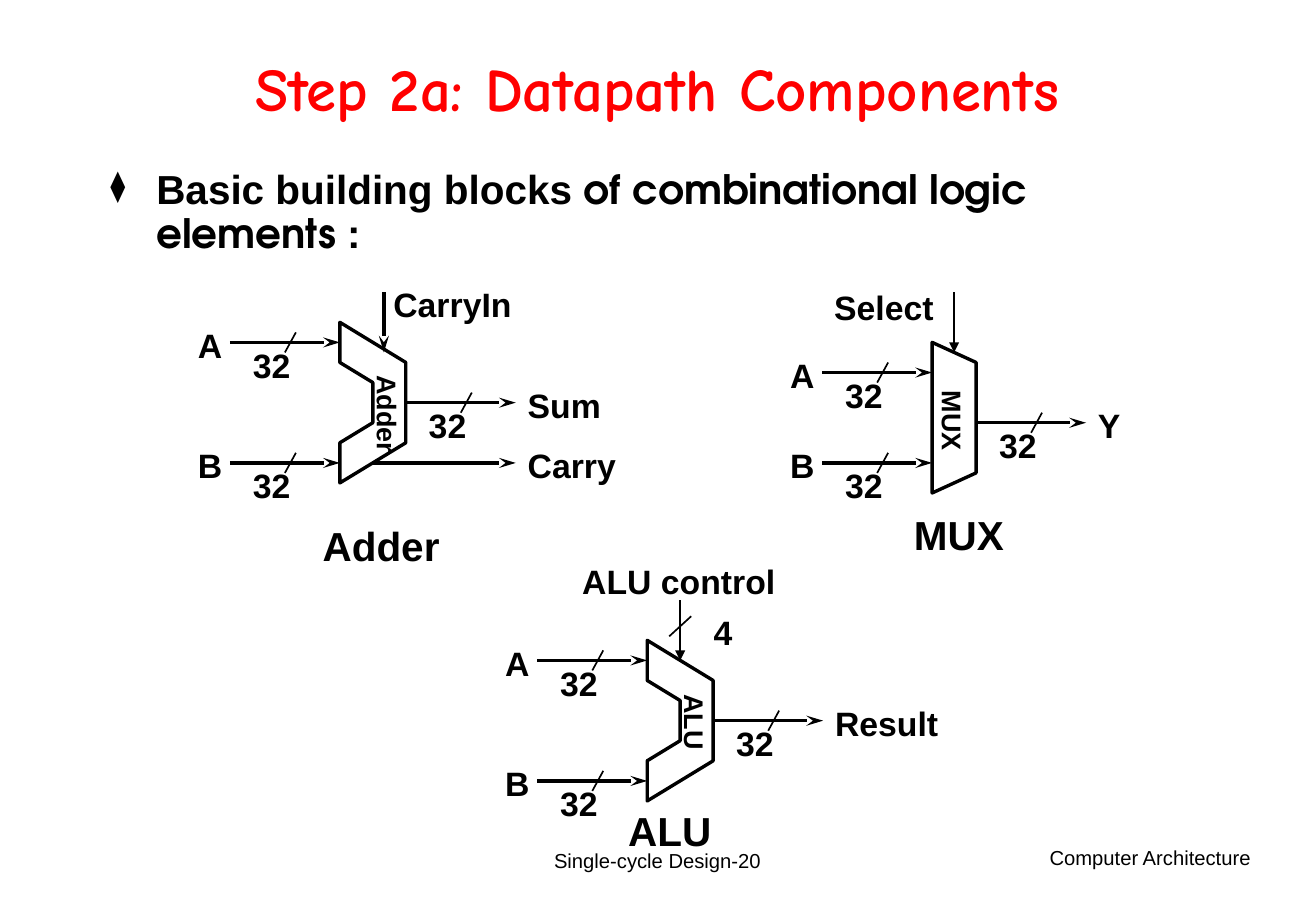
from lxml.etree import SubElement as Sub
from pptx import Presentation
from pptx.dml.color import RGBColor
from pptx.enum.shapes import MSO_CONNECTOR as Conn
from pptx.enum.text import MSO_ANCHOR as Anchor, PP_ALIGN as Align
from pptx.oxml.ns import qn
from pptx.util import Cm, Pt

BLACK = RGBColor(0, 0, 0)
RED = RGBColor(255, 0, 0)
U, V = 0.23, 0.42
TAG = 2.6

TITLE = "Step 2a: Datapath Components"
BULLET = [("Basic building blocks", "Arial"),
          (" of combinational logic elements", "TeX Gyre Adventor"),
          (" :", "Arial")]
FOOT = [("Single-cycle Design-20", 9.4, 17.35, 8.71, Align.CENTER, Anchor.MIDDLE),
        ("Computer Architecture", 19.13, 17.55, 7.29, Align.RIGHT, Anchor.TOP)]

NOTCH = [(0, 0), (6, 2), (6, 6), (0, 8), (0, 6), (3, 5), (3, 3), (0, 2)]
WEDGE = [(0, 0), (4, 1), (4, 6.5), (0, 7.5)]

UNITS = [
    dict(name="Adder", at=(7.11, 6.74), form=NOTCH, rows=(1, 7), out="Sum", wide=2.06,
         tag=(0.99, 1.92), cap=(6.5, 10.77, 2.97),
         ctrl=("CarryIn", 7.98, 5.81, 3.0), drop=(4, -1.5, 1.5), pen=2, tip="stealth"),
    dict(name="MUX", at=(19.5, 7.16), form=WEDGE, rows=(1.5, 6), out="Y", wide=0.99,
         tag=(0.42, 1.64), cap=(18.87, 10.54, 2.39),
         ctrl=("Select", 17.2, 5.87, 2.6), drop=(2, -2.5, 0.5), pen=1, tip="triangle"),
    dict(name="ALU", at=(13.54, 13.39), form=NOTCH, rows=(1, 7), out="Result", wide=2.67,
         tag=(0.99, 1.71), cap=(12.89, 16.72, 2.26),
         ctrl=("ALU control", 11.93, 11.61, 4.55), drop=(3, -2, 1), pen=1, tip="triangle"),
]

deck = Presentation()
deck.slide_width, deck.slide_height = Cm(27.53), Cm(19.05)
slide = deck.slides.add_slide(deck.slide_layouts[6])
shapes = slide.shapes


def style(font, **more):
    look = dict(name="Arial", size=Pt(20), bold=True) | more
    font.color.rgb = look.pop("color", BLACK)
    for key, val in look.items():
        setattr(font, key, val)


def label(text, x, y, w, h=1.09, align=Align.LEFT, anchor=Anchor.TOP, turn=0, **look):
    box = shapes.add_textbox(Cm(x), Cm(y), Cm(w), Cm(h))
    box.rotation = turn
    frame = box.text_frame
    frame.word_wrap = False
    frame.vertical_anchor = anchor
    para = frame.paragraphs[0]
    para.alignment = align
    run = para.add_run()
    run.text = text
    style(run.font, **look)
    return para


def line(x1, y1, x2, y2, pen=1, tip=None):
    link = shapes.add_connector(Conn.STRAIGHT, Cm(x1), Cm(y1), Cm(x2), Cm(y2))
    link.line.color.rgb = BLACK
    link.line.width = Pt(pen)
    if tip:
        size = "lg" if tip == "stealth" else "med"
        Sub(link.line._get_or_add_ln(), qn("a:tailEnd"), type=tip, w="med", len=size)
    Sub(link._element.spPr, qn("a:effectLst"))


def bus(end, y):
    line(end - 10 * U, y, end, y, 2, "stealth")
    line(end - 4 * U, y - V / 2, end - 5 * U, y + V / 2)
    label("32", end - 9 * U, y - 0.08, 1.3)


def outline(x, y, form):
    pts = [(Cm(x + a * U), Cm(y + b * V)) for a, b in form]
    pen = shapes.build_freeform(*pts[0])
    pen.add_line_segments(pts[1:], close=True)
    body = pen.convert_to_shape()
    body.shadow.inherit = False
    body.fill.background()
    body.line.color.rgb = BLACK
    body.line.width = Pt(2)


def draw(unit):
    x, y = unit["at"]
    outline(x, y, unit["form"])
    for name, row in zip("AB", unit["rows"]):
        bus(x, y + row * V)
        label(name, x - 14 * U, y + row * V - 0.5, 1.02)
    end = x + (max(a for a, b in unit["form"]) + 10) * U
    bus(end, y + 4 * V)
    label(unit["out"], end, y + 4 * V - 0.5, unit["wide"])
    col, top, low = unit["drop"]
    line(x + col * U, y + top * V, x + col * U, y + low * V, unit["pen"], unit["tip"])
    label(*unit["ctrl"])
    dx, dy = unit["tag"]
    label(unit["name"], x + dx - TAG / 2, y + dy - 0.47, TAG, 0.94, Align.CENTER,
          turn=90, size=Pt(16))
    label(unit["name"], *unit["cap"], 1.27, size=Pt(24))


for text, x, y, w, align, anchor in FOOT:
    label(text, x, y, w, 1.27, align, anchor, size=Pt(12), bold=False)

body = shapes.add_textbox(Cm(2.06), Cm(3.43), Cm(23.39), Cm(14.12)).text_frame
body.word_wrap = True
para = body.paragraphs[0]
para.line_spacing = 0.9
props = para._p.get_or_add_pPr()
props.set("marL", str(Cm(0.96)))
props.set("indent", str(-Cm(0.96)))
Sub(Sub(props, qn("a:buClr")), qn("a:srgbClr"), val=str(BLACK))
Sub(props, qn("a:buSzPct"), val="75000")
Sub(props, qn("a:buChar"), char="⧫")
for text, face in BULLET:
    run = para.add_run()
    run.text = text
    style(run.font, name=face, size=Pt(24))

for unit in UNITS:
    draw(unit)

x, y = UNITS[0]["at"]
line(x + 3 * U, y + 7 * V, x + 16 * U, y + 7 * V, 2, "stealth")
label("Carry", x + 16 * U, y + 7 * V - 0.5, 2.36)

x, y = UNITS[2]["at"]
line(x + 4 * U, y - 1.2 * V, x + 2 * U, y - 0.2 * V)
label("4", 14.68, 12.67, 0.91)

head = label(TITLE, 2.06, 0.69, 23.39, 2.51, Align.CENTER, Anchor.MIDDLE,
             name="Comic Neue", size=Pt(36), color=RED)
head.line_spacing = 0.85

deck.save("out.pptx")
